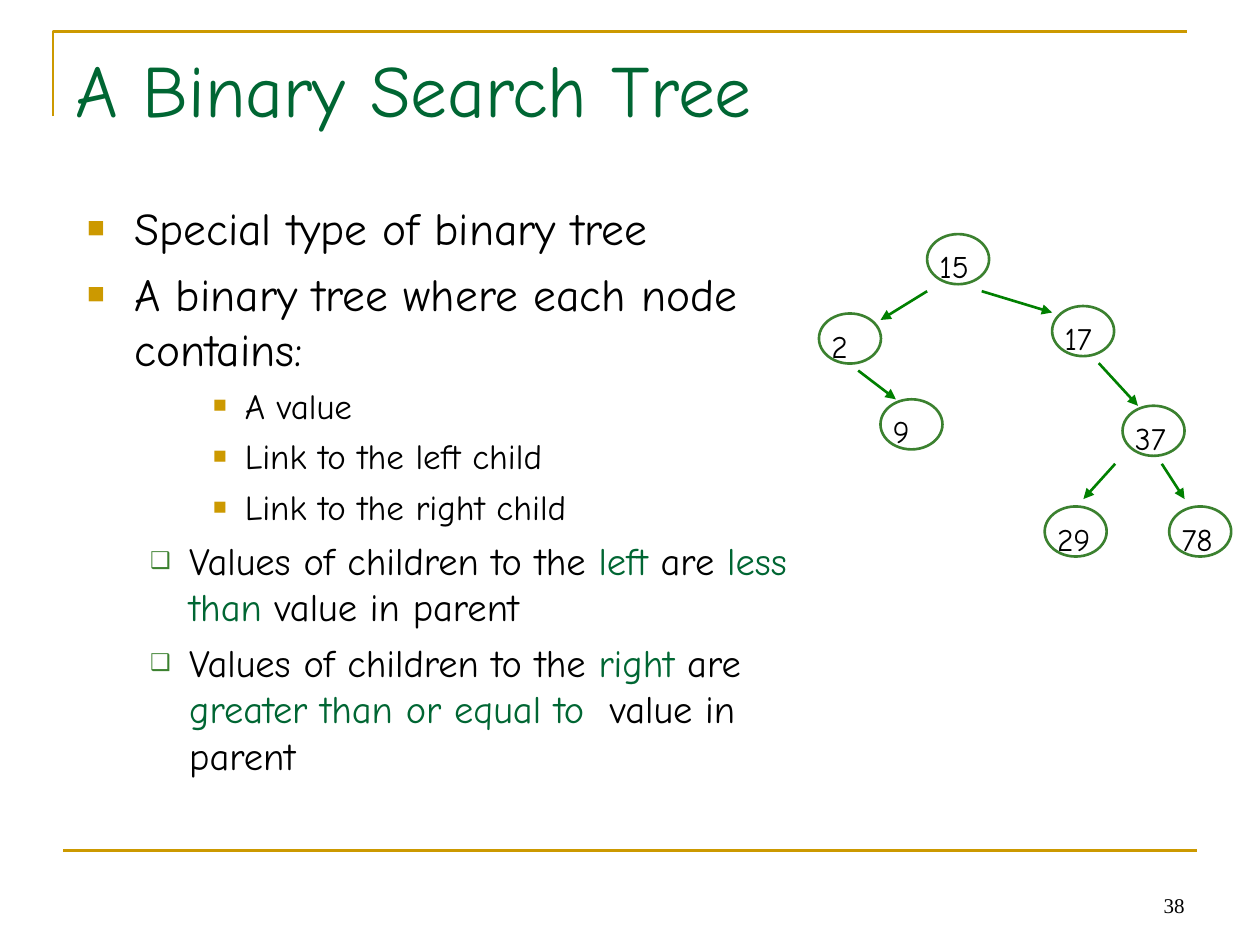
from dataclasses import dataclass

import pptx
import pptx.dml.color
import pptx.enum.shapes
import pptx.enum.text
import pptx.oxml
import pptx.oxml.ns
import pptx.util
from lxml import etree

Cm, Pt = pptx.util.Cm, pptx.util.Pt
RGB = pptx.dml.color.RGBColor
ANCHOR = pptx.enum.text.MSO_ANCHOR
ALIGN = pptx.enum.text.PP_ALIGN
FIT = pptx.enum.text.MSO_AUTO_SIZE
KIND = pptx.enum.shapes

GOLD = RGB(0xCC, 0x99, 0x00)
PINE = RGB(0x00, 0x66, 0x33)
MOSS = RGB(0x3B, 0x81, 0x2F)
GREEN = RGB(0x00, 0x80, 0x00)
BLACK = RGB(0, 0, 0)
FACE = "Comic Neue"
NODE_W, NODE_H = 1.25, 1.01


@dataclass
class Style:
    level: int
    left: float
    hang: float
    size: int
    space: float
    mark: str
    tint: RGB
    scale: int


@dataclass
class Node:
    label: str
    x: float
    y: float


@dataclass
class Link:
    x1: float
    y1: float
    x2: float
    y2: float


MAIN = Style(0, 0.95, 0.95, 26, 6.5, "■", GOLD, 65)
SUB = Style(1, 2.06, 0.79, 22, 5.5, "❑", MOSS, 60)
PART = Style(2, 3.18, 0.64, 20, 5, "■", GOLD, 65)

# Odd-numbered pieces of an item are shown in the accent colour
ITEMS = [
    (MAIN, ["Special type of binary tree"]),
    (MAIN, ["A binary tree where each node contains:"]),
    (PART, ["A value"]),
    (PART, ["Link to the left child"]),
    (PART, ["Link to the right child"]),
    (SUB, ["Values of children to the ", "left", " are ", "less than",
           " value in parent"]),
    (SUB, ["Values of children to the ", "right", " are ",
           "greater than or equal to", "  value in parent"]),
]
NODES = [
    Node("15", 18.69, 4.72), Node("2", 16.51, 6.32), Node("9", 17.75, 8.05),
    Node("17", 21.21, 6.17), Node("37", 22.63, 8.18),
    Node("29", 21.06, 10.21), Node("78", 23.57, 10.21),
]
LINKS = [
    Link(18.69, 5.87, 17.75, 6.45), Link(17.3, 7.47, 18.06, 8.05),
    Link(19.79, 5.87, 21.21, 6.3), Link(22.15, 7.32, 22.94, 8.18),
    Link(22.48, 9.35, 21.84, 10.06), Link(23.42, 9.35, 23.88, 10.06),
]


def apply(thing, **vals) -> None:
    for name, val in vals.items():
        setattr(thing, name, val)


def place(shape, x: float, y: float, w: float, h: float) -> None:
    apply(shape, left=Cm(x), top=Cm(y), width=Cm(w), height=Cm(h))


def write(para, text: str, size: float, color: RGB, face: str = FACE) -> None:
    run = para.add_run()
    run.text = text
    apply(run.font, size=Pt(size), name=face, bold=False)
    run.font.color.rgb = color


def stroke(shape, color: RGB) -> None:
    shape.line.color.rgb = color
    shape.line.width = Pt(1.5)


def add_mark(para, style: Style) -> None:
    props = para._p.get_or_add_pPr()
    props.set("marL", str(Cm(style.left)))
    props.set("indent", str(-Cm(style.hang)))
    qn = pptx.oxml.ns.qn
    tint = etree.SubElement(props, qn("a:buClr"))
    etree.SubElement(tint, qn("a:srgbClr"), val=str(style.tint))
    etree.SubElement(props, qn("a:buSzPct"), val=str(style.scale * 1000))
    etree.SubElement(props, qn("a:buChar"), char=style.mark)


def add_text(slide, x: float, y: float, w: float, h: float):
    frame = slide.shapes.add_textbox(Cm(x), Cm(y), Cm(w), Cm(h)).text_frame
    frame.word_wrap = True
    return frame


def add_line(slide, link: Link, color: RGB, arrow: bool = False) -> None:
    line = slide.shapes.add_connector(
        KIND.MSO_CONNECTOR.STRAIGHT,
        Cm(link.x1), Cm(link.y1), Cm(link.x2), Cm(link.y2))
    stroke(line, color)
    qn = pptx.oxml.ns.qn
    if arrow:
        etree.SubElement(line.line._get_or_add_ln(), qn("a:tailEnd"),
                         type="triangle")
    etree.SubElement(line._element.spPr, qn("a:effectLst"))


def add_node(slide, node: Node) -> None:
    oval = slide.shapes.add_shape(
        KIND.MSO_SHAPE.OVAL,
        Cm(node.x), Cm(node.y), Cm(NODE_W), Cm(NODE_H))
    oval.shadow.inherit = False
    oval.fill.background()
    stroke(oval, MOSS)
    frame = add_text(slide, node.x, node.y + 0.14, 1.42, NODE_H)
    write(frame.paragraphs[0], node.label, 18, BLACK)


def add_frame(slide) -> None:
    path = slide.shapes.build_freeform(Cm(1.07), Cm(2.34))
    path.add_line_segments(
        [(Cm(1.07), Cm(0.64)), (Cm(23.93), Cm(0.64))], close=False)
    edge = path.convert_to_shape()
    edge.shadow.inherit = False
    edge.fill.background()
    stroke(edge, GOLD)
    add_line(slide, Link(1.27, 17.15, 24.13, 17.15), GOLD)


def fill_title(title) -> None:
    place(title, 1.27, 0.76, 22.86, 3.18)
    frame = title.text_frame
    apply(frame, vertical_anchor=ANCHOR.TOP, auto_size=FIT.NONE)
    para = frame.paragraphs[0]
    para.alignment = ALIGN.LEFT
    write(para, "A Binary Search Tree", 42, PINE)


def fill_body(body) -> None:
    place(body, 1.5, 3.91, 15.01, 12.9)
    frame = body.text_frame
    apply(frame, vertical_anchor=ANCHOR.TOP, auto_size=FIT.NONE)
    for i, (style, parts) in enumerate(ITEMS):
        para = frame.add_paragraph() if i else frame.paragraphs[0]
        add_mark(para, style)
        apply(para, level=style.level,
              space_before=Pt(style.space if i else 0))
        for j, part in enumerate(parts):
            write(para, part, style.size, PINE if j % 2 else BLACK)


def main() -> None:
    deck = pptx.Presentation()
    apply(deck, slide_width=Cm(25.4), slide_height=Cm(19.05))
    slide = deck.slides.add_slide(deck.slide_layouts[1])

    # Border lines, title and list
    add_frame(slide)
    fill_title(slide.shapes.title)
    fill_body(slide.placeholders[1])

    # Page number
    frame = add_text(slide, 18.21, 17.35, 5.92, 1.27)
    frame.vertical_anchor = ANCHOR.BOTTOM
    frame.paragraphs[0].alignment = ALIGN.RIGHT
    write(frame.paragraphs[0], "38", 12, BLACK, "Times New Roman")

    # Tree
    for node in NODES:
        add_node(slide, node)
    for link in LINKS:
        add_line(slide, link, GREEN, arrow=True)

    deck.save("out.pptx")


if __name__ == "__main__":
    main()
